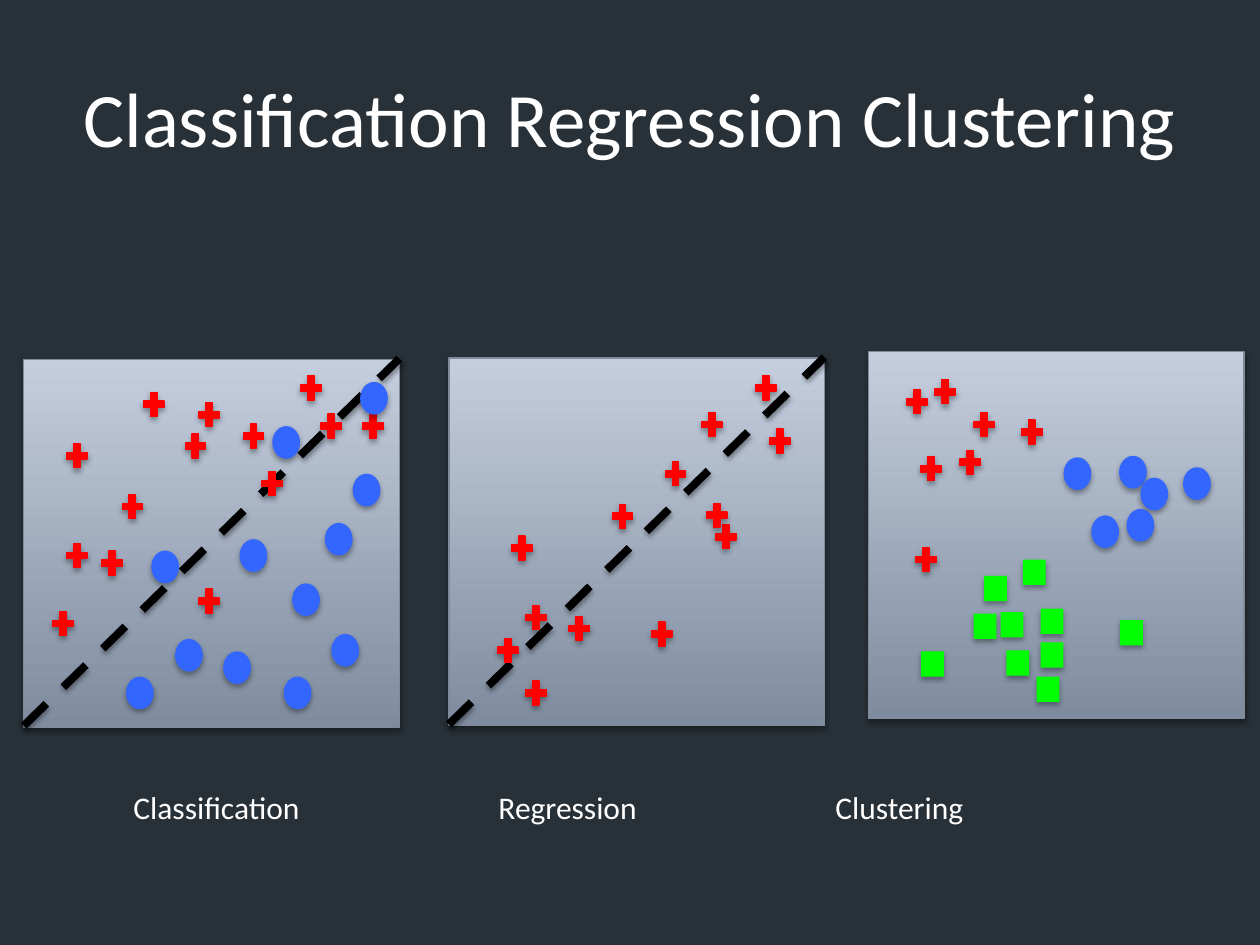
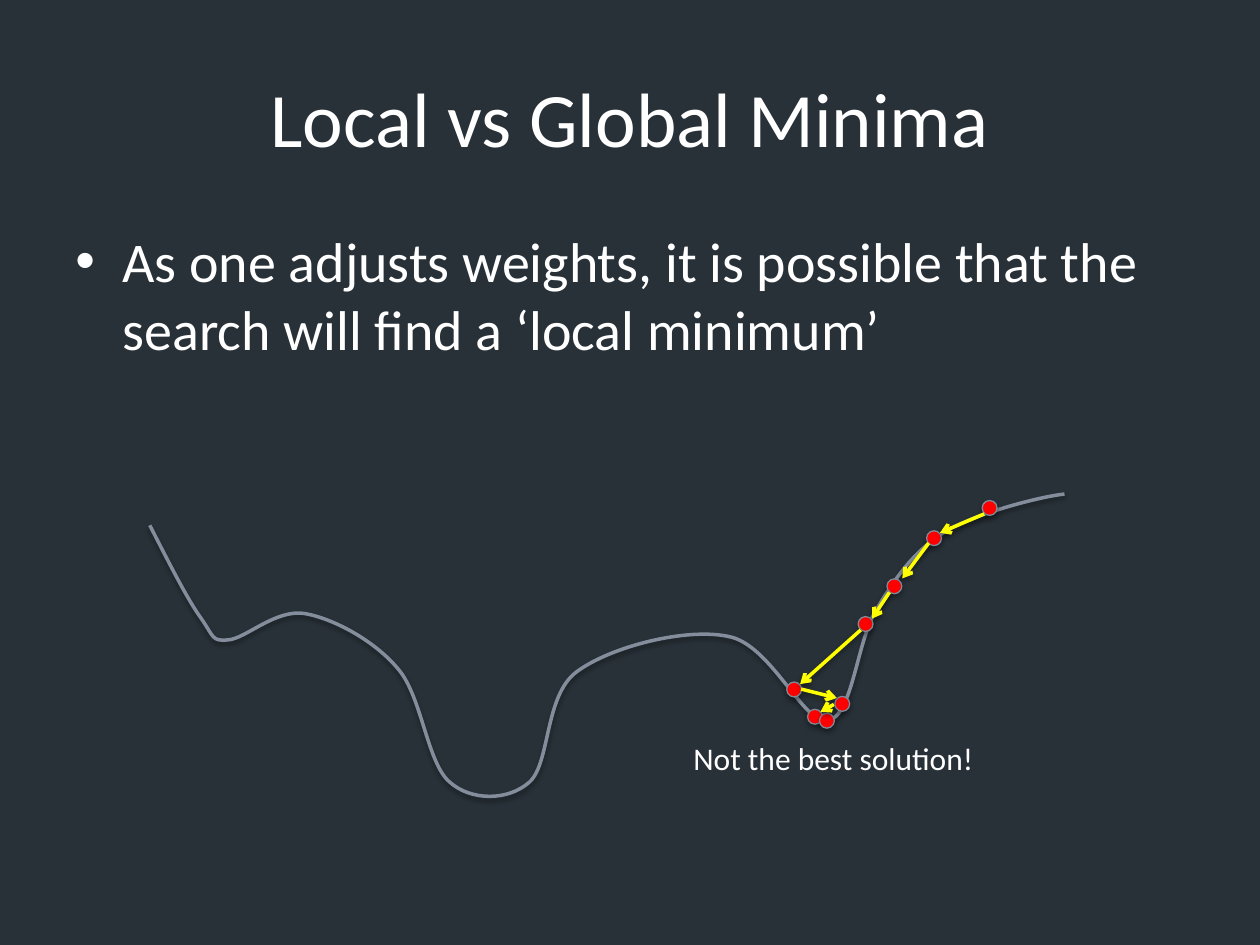
"""Build two slides on learning tasks and on local versus global minima."""
from lxml.etree import SubElement
from pptx import Presentation
from pptx.dml.color import RGBColor
from pptx.enum.dml import MSO_LINE
from pptx.enum.shapes import MSO_CONNECTOR, MSO_SHAPE
from pptx.enum.text import MSO_ANCHOR, PP_ALIGN
from pptx.oxml.ns import qn
from pptx.util import Cm, Pt

BACKGROUND = RGBColor(0x28, 0x31, 0x38)
WHITE = RGBColor(0xFF, 0xFF, 0xFF)
BLACK = RGBColor(0x00, 0x00, 0x00)
RED = RGBColor(0xFF, 0x00, 0x00)
BLUE = RGBColor(0x33, 0x66, 0xFF)
GREEN = RGBColor(0x00, 0xFF, 0x00)
YELLOW = RGBColor(0xFF, 0xFF, 0x00)
PANEL_DARK = RGBColor(0x7F, 0x8C, 0x9F)
PANEL_LIGHT = RGBColor(0xC4, 0xCE, 0xDE)
OUTLINE = RGBColor(0x80, 0x8A, 0x98)
CURVE = RGBColor(0x83, 0x8D, 0x9B)
FONT = "Calibri"


def add_text(slide, text, left, top, width, height, size, wrap=True):
    """Add a white text box and return its text frame."""
    box = slide.shapes.add_textbox(Cm(left), Cm(top), Cm(width), Cm(height))
    text_frame = box.text_frame
    text_frame.word_wrap = wrap
    text_frame.text = text
    font = text_frame.paragraphs[0].runs[0].font
    font.name, font.size, font.color.rgb = FONT, Pt(size), WHITE
    return text_frame


def cast_shadow(shape, distance=1.8, opacity=35):
    """Give a finished shape or line a soft shadow straight below it."""
    effects = SubElement(shape._element.spPr, qn("a:effectLst"))
    shadow = SubElement(effects, qn("a:outerShdw"), blurRad=str(Pt(3.1)),
                        dist=str(Pt(distance)), dir="5400000", rotWithShape="0")
    color = SubElement(shadow, qn("a:srgbClr"), val=str(BLACK))
    SubElement(color, qn("a:alpha"), val=str(opacity * 1000))


presentation = Presentation()
presentation.slide_width, presentation.slide_height = Cm(25.4), Cm(19.05)

slides = []
for title in ("Classification Regression Clustering", "Local vs Global Minima"):
    slide = presentation.slides.add_slide(presentation.slide_layouts[6])
    slide.background.fill.solid()
    slide.background.fill.fore_color.rgb = BACKGROUND
    text_frame = add_text(slide, title, 1.27, 0.76, 22.86, 3.18, 44)
    text_frame.vertical_anchor = MSO_ANCHOR.MIDDLE
    text_frame.paragraphs[0].alignment = PP_ALIGN.CENTER
    slides.append(slide)
tasks_slide, minima_slide = slides

PANEL_WIDTH, PANEL_HEIGHT = 7.57, 7.41
panels = [(17.51, 7.08, False), (9.05, 7.22, True), (0.48, 7.25, True)]
for left, top, has_diagonal in panels:
    panel = tasks_slide.shapes.add_shape(
        MSO_SHAPE.RECTANGLE, Cm(left), Cm(top), Cm(PANEL_WIDTH), Cm(PANEL_HEIGHT))
    panel.fill.gradient()
    panel.fill.gradient_angle = 90
    for stop, color in zip(panel.fill.gradient_stops, (PANEL_DARK, PANEL_LIGHT)):
        stop.color.rgb = color
    panel.line.color.rgb = OUTLINE
    panel.line.width = Pt(0.75)
    cast_shadow(panel)
    if has_diagonal:
        diagonal = tasks_slide.shapes.add_connector(
            MSO_CONNECTOR.STRAIGHT, Cm(left), Cm(top + PANEL_HEIGHT - 0.03),
            Cm(left + PANEL_WIDTH), Cm(top - 0.02))
        diagonal.line.color.rgb = BLACK
        diagonal.line.width = Pt(4.5)
        diagonal.line.dash_style = MSO_LINE.DASH
        cast_shadow(diagonal, 1.6, 38)

labels = add_text(tasks_slide, "Classification\tRegression\tClustering",
                  2.44, 15.77, 20.4, 1.02, 18)
tab_stops = SubElement(labels.paragraphs[0]._p.get_or_add_pPr(), qn("a:tabLst"))
for tab_position in (7.36, 14.15):
    SubElement(tab_stops, qn("a:tab"), pos=str(Cm(tab_position)), algn="l")

labelled_pluses = [
    (2.82, 7.82), (1.27, 8.86), (3.66, 8.66), (1.98, 11.02), (6.4, 8.26),
    (1.27, 10.87), (5.99, 7.49), (3.94, 8.03), (0.99, 12.24), (5.21, 9.42),
    (2.39, 9.88), (4.83, 8.46), (7.24, 8.26), (3.94, 11.79),
]
regression_pluses = [
    (13.34, 9.22), (15.44, 8.56), (10.52, 12.12), (10.52, 13.64), (9.96, 12.78),
    (11.4, 12.34), (10.24, 10.72), (13.06, 12.45), (12.27, 10.08), (14.07, 8.23),
    (15.16, 7.49), (14.35, 10.49), (14.17, 10.06),
]
cluster_pluses = [
    (18.77, 7.57), (18.49, 9.12), (19.56, 8.23), (18.21, 7.77), (19.28, 8.99),
    (18.39, 10.95), (20.52, 8.38),
]
labelled_circles = [
    (4.5, 13.13), (5.72, 13.64), (5.49, 8.59), (6.55, 10.54), (7.26, 7.7),
    (3.05, 11.1), (4.83, 10.87), (7.11, 9.55), (5.89, 11.76), (3.53, 12.88),
    (6.68, 12.78), (2.54, 13.64),
]
cluster_circles = [
    (22.56, 9.19), (22.99, 9.63), (22.71, 10.26), (23.85, 9.42), (21.44, 9.22),
    (22, 10.39),
]
cluster_squares = [
    (19.84, 11.61), (19.63, 12.37), (20.98, 12.27), (20.29, 13.11), (20.98, 12.95),
    (22.58, 12.5), (20.17, 12.34), (18.57, 13.13), (20.9, 13.64), (20.62, 11.28),
]
descent_dots = [
    (19.8, 10.09), (18.68, 10.7), (17.88, 11.67), (17.3, 12.43),
    (15.86, 13.75), (16.83, 14.04), (16.28, 14.3), (16.52, 14.38),
]

body = add_text(
    minima_slide,
    "As one adjusts weights, it is possible that the search will find a ‘local minimum’",
    1.27, 4.45, 22.86, 12.57, 32)
paragraph = body.paragraphs[0]
paragraph.space_before = Pt(6.4)
properties = paragraph._p.get_or_add_pPr()
properties.set("marL", str(Cm(0.95)))
properties.set("indent", str(-Cm(0.95)))
SubElement(properties, qn("a:buFont"), typeface="Arial")
SubElement(properties, qn("a:buChar"), char="•")

curve_start = (3.02, 10.59)
curve_bottom = (9.87, 16.05)
curve_segments = [
    ((3.4, 11.33), (3.78, 12.09), (4.06, 12.47)),
    ((4.32, 12.85), (4.27, 12.93), (4.6, 12.9)),
    ((4.95, 12.88), (5.56, 12.27), (6.15, 12.37)),
    ((6.71, 12.47), (7.54, 12.9), (8.03, 13.49)),
    ((8.51, 14.05), (8.61, 15.39), (9.07, 15.77)),
    ((9.5, 16.15), (10.24, 16.15), (10.67, 15.77)),
    ((11.1, 15.39), (10.97, 14.02), (11.63, 13.54)),
    ((12.32, 13.03), (13.84, 12.65), (14.68, 12.83)),
    ((15.54, 12.98), (16.21, 14.63), (16.69, 14.53)),
    ((17.2, 14.43), (17.27, 12.9), (17.68, 12.27)),
    ((18.06, 11.63), (18.44, 11.1), (19.05, 10.72)),
    ((19.69, 10.34), (20.98, 10.01), (21.46, 9.96)),
]
curve_end = curve_segments[-1][-1]
builder = minima_slide.shapes.build_freeform(*map(Cm, curve_start))
builder.add_line_segments(
    [tuple(map(Cm, point)) for point in (curve_bottom, curve_end)], close=False)
error_curve = builder.convert_to_shape()
outline = next(error_curve._element.spPr.iter(qn("a:path")))
for straight in outline.findall(qn("a:lnTo")):
    outline.remove(straight)
for segment in curve_segments:
    bend = SubElement(outline, qn("a:cubicBezTo"))
    for x, y in segment:
        SubElement(bend, qn("a:pt"), x=str(Cm(x) - error_curve.left),
                   y=str(Cm(y) - error_curve.top))
error_curve.fill.background()
error_curve.line.color.rgb = CURVE
error_curve.line.width = Pt(2)
cast_shadow(error_curve, 1.6, 38)

plus_style = (tasks_slide, MSO_SHAPE.MATH_PLUS, 0.56, 0.66, RED, RED)
circle_style = (tasks_slide, MSO_SHAPE.OVAL, 0.56, 0.66, BLUE, None)
square_style = (tasks_slide, MSO_SHAPE.RECTANGLE, 0.46, 0.51, GREEN, None)
dot_style = (minima_slide, MSO_SHAPE.OVAL, 0.3, 0.3, RED, OUTLINE)
marker_groups = [
    (plus_style, labelled_pluses + regression_pluses),
    (circle_style, labelled_circles),
    (plus_style, cluster_pluses),
    (circle_style, cluster_circles),
    (square_style, cluster_squares),
    (dot_style, descent_dots),
]
for style, positions in marker_groups:
    slide, kind, width, height, fill_color, line_color = style
    for left, top in positions:
        marker = slide.shapes.add_shape(kind, Cm(left), Cm(top), Cm(width), Cm(height))
        marker.fill.solid()
        marker.fill.fore_color.rgb = fill_color
        if line_color is None:
            marker.line.fill.background()
        else:
            marker.line.color.rgb = line_color
            marker.line.width = Pt(0.75)
        cast_shadow(marker)

descent_steps = [
    (19.84, 10.36, 18.95, 10.74), (18.72, 10.95, 18.19, 11.66),
    (17.93, 11.94, 17.58, 12.47), (17.35, 12.7, 16.13, 13.79),
    (16.15, 13.89, 16.87, 14.07), (16.81, 14.2, 16.54, 14.35),
]
for ends in descent_steps:
    arrow = minima_slide.shapes.add_connector(MSO_CONNECTOR.STRAIGHT, *map(Cm, ends))
    arrow.line.color.rgb = YELLOW
    arrow.line.width = Pt(2)
    SubElement(arrow._element.spPr.find(qn("a:ln")), qn("a:tailEnd"), type="arrow")
    cast_shadow(arrow, 1.6, 38)

add_text(minima_slide, "Not the best solution!", 13.73, 14.78, 6.22, 1.02, 18, wrap=False)

presentation.save("out.pptx")
